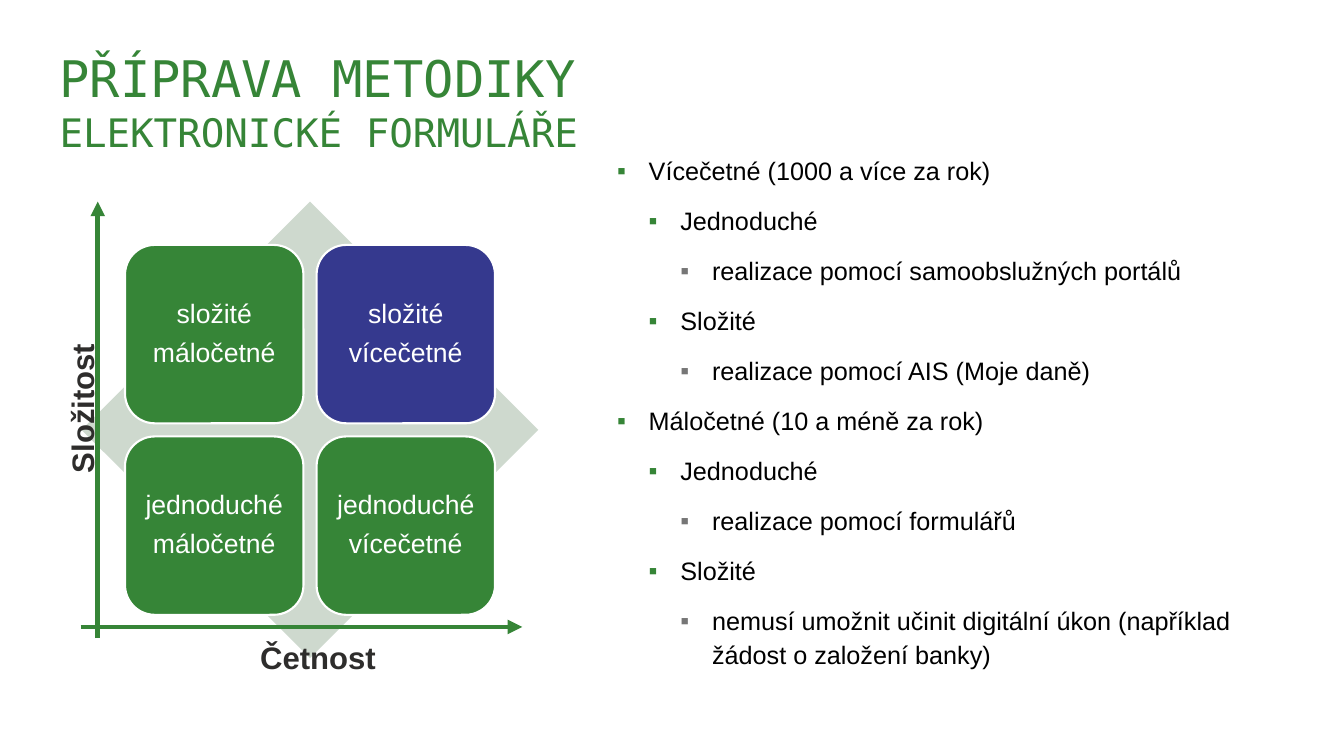
from dataclasses import dataclass

import pptx
import pptx.dml.color
import pptx.enum.shapes
import pptx.enum.text
import pptx.oxml.ns
import pptx.util
from lxml import etree

Inches = pptx.util.Inches
Pt = pptx.util.Pt
Anchor = pptx.enum.text.MSO_ANCHOR
Align = pptx.enum.text.PP_ALIGN
ShapeKind = pptx.enum.shapes.MSO_SHAPE


@dataclass(frozen=True)
class Theme:
    green: str = "368537"
    blue: str = "35398E"
    pale: str = "CED9CE"
    grey: str = "767676"
    dark: str = "2E2D2C"
    black: str = "000000"
    white: str = "FFFFFF"
    title_font: str = "DejaVu Sans Mono"
    body_font: str = "Arial"
    title_size: float = 36
    subtitle_size: float = 28
    body_size: float = 18
    tile_size: float = 19
    axis_size: float = 22.2


@dataclass(frozen=True)
class Tile:
    column: int
    row: int
    lines: tuple[str, str]
    color: str


@dataclass(frozen=True)
class Axis:
    label: str
    box: tuple[float, float, float, float]
    rotation: int
    tip: tuple[float, float]
    base: tuple[float, float]


@dataclass(frozen=True)
class Bullet:
    level: int
    text: str


THEME = Theme()
TILE_LEFT, TILE_TOP, TILE_SIDE, TILE_PITCH = 1.24, 2.43, 1.77, 1.9
INDENT = 0.314

TITLE_LINES = ("PŘÍPRAVA METODIKY", "ELEKTRONICKÉ FORMULÁŘE")
TILES = (
    Tile(0, 0, ("složité", "máločetné"), THEME.green),
    Tile(1, 0, ("složité", "vícečetné"), THEME.blue),
    Tile(0, 1, ("jednoduché", "máločetné"), THEME.green),
    Tile(1, 1, ("jednoduché", "vícečetné"), THEME.green),
)
AXES = (
    Axis("Četnost", (2.58, 6.33, 1.15, 0.35), 0, (5.18, 6.22), (0.8, 6.22)),
    Axis("Složitost", (0.15, 3.87, 1.3, 0.35), 270, (0.97, 2), (0.97, 6.33)),
)
BULLETS = (
    Bullet(0, "Vícečetné (1000 a více za rok)"),
    Bullet(1, "Jednoduché"),
    Bullet(2, "realizace pomocí samoobslužných portálů"),
    Bullet(1, "Složité"),
    Bullet(2, "realizace pomocí AIS (Moje daně)"),
    Bullet(0, "Máločetné (10 a méně za rok)"),
    Bullet(1, "Jednoduché"),
    Bullet(2, "realizace pomocí formulářů"),
    Bullet(1, "Složité"),
    Bullet(2, "nemusí umožnit učinit digitální úkon (například žádost o založení banky)"),
)


def rgb(color: str) -> pptx.dml.color.RGBColor:
    return pptx.dml.color.RGBColor.from_string(color)


def style_run(span, font: str, size: float, color: str, bold: bool = False) -> None:
    span.font.name = font
    span.font.size = Pt(size)
    span.font.color.rgb = rgb(color)
    span.font.bold = bold


def set_frame(frame, inset: float, anchor=Anchor.TOP, wrap: bool = True) -> None:
    frame.margin_left = frame.margin_right = Inches(inset)
    frame.margin_top = frame.margin_bottom = Inches(inset)
    frame.vertical_anchor = anchor
    frame.word_wrap = wrap
    frame.auto_size = pptx.enum.text.MSO_AUTO_SIZE.NONE


def place(box, left: float, top: float, width: float, height: float) -> None:
    box.left, box.top = Inches(left), Inches(top)
    box.width, box.height = Inches(width), Inches(height)


def add_element(parent, tag: str, **attributes: str):
    return etree.SubElement(parent, pptx.oxml.ns.qn(tag), **attributes)


def fill_title(box) -> None:
    place(box, 0.59, 0.47, 12.15, 1.42)
    set_frame(box.text_frame, 0)
    para = box.text_frame.paragraphs[0]
    para.text = "\v".join(TITLE_LINES)
    para.alignment = Align.LEFT
    for span, size in zip(para.runs, (THEME.title_size, THEME.subtitle_size)):
        style_run(span, THEME.title_font, size, THEME.green)


def fill_bullets(box) -> None:
    place(box, 6.12, 1.51, 6.62, 5.37)
    frame = box.text_frame
    set_frame(frame, 0)
    frame.text = "\n".join(bullet.text for bullet in BULLETS)
    for index, (para, bullet) in enumerate(zip(frame.paragraphs, BULLETS)):
        para.level = bullet.level
        para.line_spacing = 1.1
        para.space_before = Pt(8 if index else 0)
        para.space_after = Pt(4)
        properties = para._p.get_or_add_pPr()
        properties.set("marL", str(Inches(INDENT * (bullet.level + 1))))
        properties.set("indent", str(Inches(-INDENT)))
        color = add_element(properties, "a:buClr")
        add_element(color, "a:srgbClr", val=THEME.grey if bullet.level == 2 else THEME.green)
        add_element(properties, "a:buFont", typeface=THEME.body_font)
        add_element(properties, "a:buChar", char="▪")
        style_run(para.runs[0], THEME.body_font, THEME.body_size, THEME.black)


def add_filled(shapes, kind, left: float, top: float, side: float, color: str):
    shape = shapes.add_shape(kind, Inches(left), Inches(top), Inches(side), Inches(side))
    shape.shadow.inherit = False
    shape.fill.solid()
    shape.fill.fore_color.rgb = rgb(color)
    shape.line.fill.background()
    return shape


def add_tile(shapes, tile: Tile) -> None:
    left = TILE_LEFT + tile.column * TILE_PITCH
    top = TILE_TOP + tile.row * TILE_PITCH
    shape = add_filled(shapes, ShapeKind.ROUNDED_RECTANGLE, left, top, TILE_SIDE, tile.color)
    shape.line.color.rgb = rgb(THEME.white)
    shape.line.width = Pt(1.5)
    frame = shape.text_frame
    set_frame(frame, 0.08, Anchor.MIDDLE)
    frame.text = "\n".join(tile.lines)
    for index, para in enumerate(frame.paragraphs):
        para.alignment = Align.CENTER
        para.line_spacing = 0.9
        para.space_before = Pt(7.5 if index else 0)
        style_run(para.runs[0], THEME.body_font, THEME.tile_size, THEME.white)


def add_axis(shapes, axis: Axis) -> None:
    box = shapes.add_textbox(*map(Inches, axis.box))
    box.rotation = axis.rotation
    set_frame(box.text_frame, 0, wrap=False)
    box.text_frame.text = axis.label
    span = box.text_frame.paragraphs[0].runs[0]
    style_run(span, THEME.body_font, THEME.axis_size, THEME.dark, bold=True)

    straight = pptx.enum.shapes.MSO_CONNECTOR.STRAIGHT
    arrow = shapes.add_connector(straight, *map(Inches, axis.base + axis.tip))
    arrow.line.color.rgb = rgb(THEME.green)
    arrow.line.width = Pt(3.5)
    add_element(arrow.line._get_or_add_ln(), "a:tailEnd", type="triangle")
    add_element(arrow._element.spPr, "a:effectLst")


def main() -> None:
    deck = pptx.Presentation()
    deck.slide_width, deck.slide_height = Inches(13.33), Inches(7.5)
    page = deck.slides.add_slide(deck.slide_layouts[1])

    # Title and list
    fill_title(page.shapes.title)
    fill_bullets(page.placeholders[1])

    # Matrix of form types
    matrix = page.shapes.add_group_shape()
    add_filled(matrix.shapes, ShapeKind.DIAMOND, 0.81, 2, 4.53, THEME.pale)
    for tile in TILES:
        add_tile(matrix.shapes, tile)

    # Axes with labels
    for axis in AXES:
        add_axis(page.shapes, axis)

    deck.save("out.pptx")


if __name__ == "__main__":
    main()
